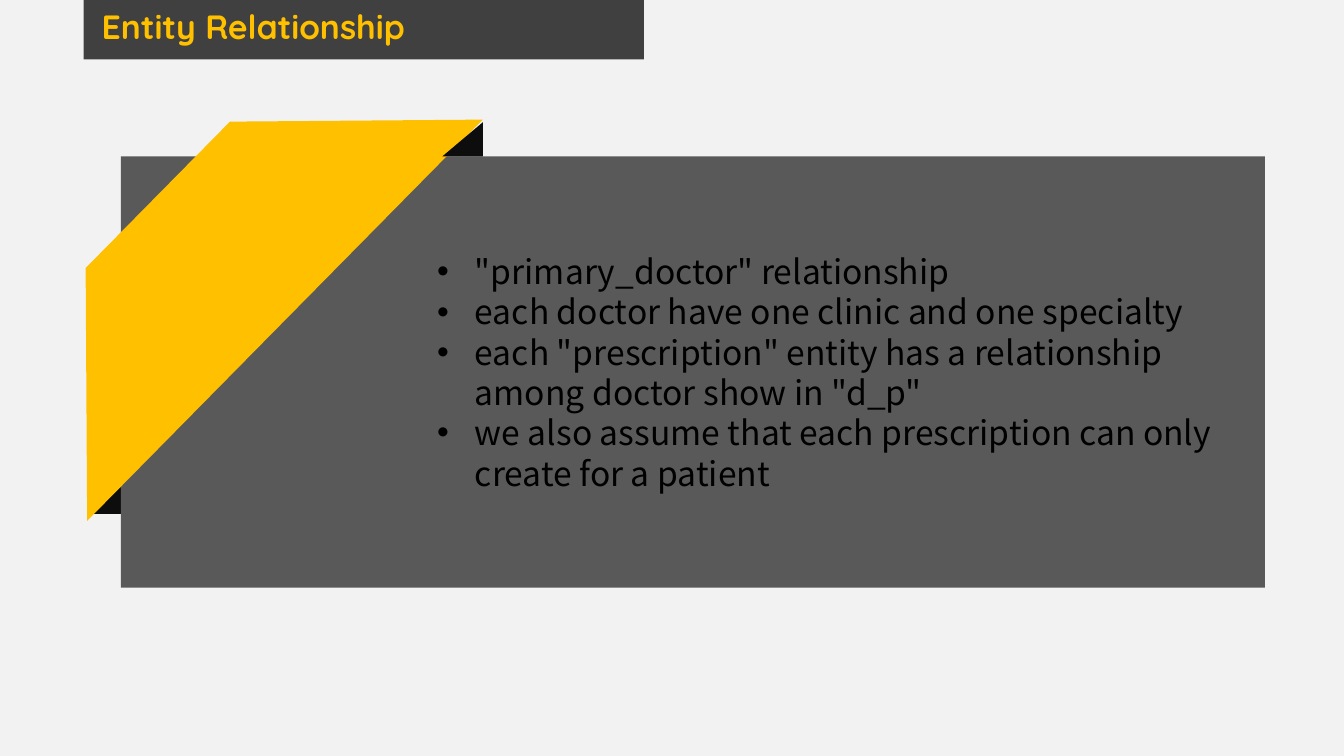
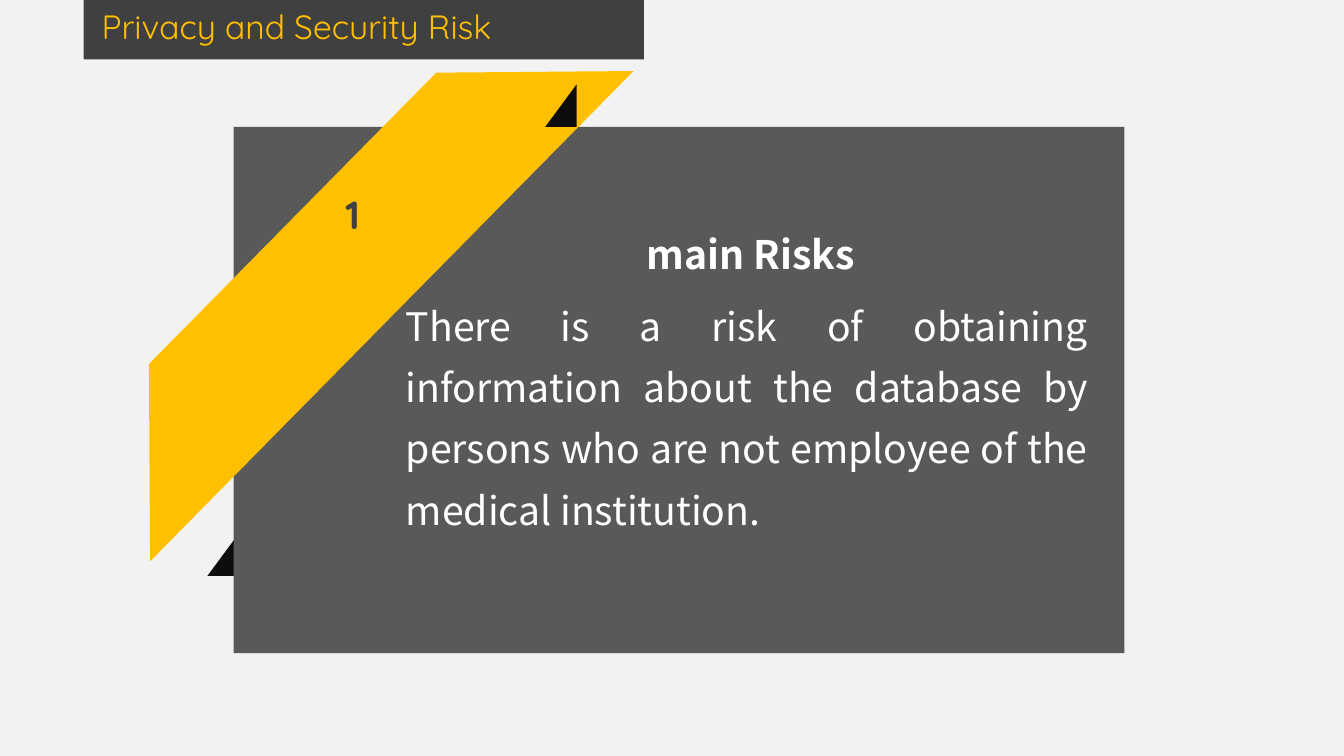
from dataclasses import dataclass

from lxml import etree
from pptx import Presentation
from pptx import util as u
from pptx.dml import color
from pptx.enum import shapes, text
from pptx.oxml import ns


@dataclass(frozen=True)
class Theme:
    backdrop: str = "F2F2F2"
    band: str = "404040"
    panel: str = "595959"
    accent: str = "FFC000"
    fold: str = "0D0D0D"
    dark: str = "000000"
    light: str = "FFFFFF"
    display: str = "Quicksand"
    body: str = "Noto Sans CJK SC"
    small: int = 24
    large: int = 28


THEME = Theme()
RIBBON_ANGLE = 314.6
BULLET_INDENT = u.Cm(0.95)


def rgb(code):
    return color.RGBColor.from_string(code)


def box(values):
    return [u.Cm(value) for value in values]


def add_block(slide, preset, area, fill):
    block = slide.shapes.add_shape(preset, *box(area))
    block.shadow.inherit = False
    block.fill.solid()
    block.fill.fore_color.rgb = rgb(fill)
    block.line.fill.background()
    return block


def add_text(slide, area, lines, size, font, ink, bold=False, align=None,
             spacing=None, wrap=True):
    frame = slide.shapes.add_textbox(*box(area)).text_frame
    frame.word_wrap = wrap
    frame.text = "\n".join(lines)
    for paragraph in frame.paragraphs:
        paragraph.font.size = u.Pt(size)
        paragraph.font.name = font
        paragraph.font.bold = bold
        paragraph.font.color.rgb = rgb(ink)
        paragraph.alignment = align
        paragraph.line_spacing = spacing
    return frame


def add_bullets(frame):
    for paragraph in frame.paragraphs:
        properties = paragraph._p.get_or_add_pPr()
        properties.set("marL", str(BULLET_INDENT))
        properties.set("indent", str(-BULLET_INDENT))
        etree.SubElement(properties, ns.qn("a:buFont")).set("typeface", "Arial")
        etree.SubElement(properties, ns.qn("a:buChar")).set("char", "•")


def add_fold(slide, left, top, size):
    fold = add_block(slide, shapes.MSO_SHAPE.ISOSCELES_TRIANGLE,
                     (left, top, *size), THEME.fold)
    fold.adjustments[0] = 1


def add_ribbon_panel(slide, panel, ribbon, tail, head_left, fold_size):
    add_fold(slide, *tail, fold_size)
    add_block(slide, shapes.MSO_SHAPE.RECTANGLE, panel, THEME.panel)
    sash = add_block(slide, shapes.MSO_SHAPE.TRAPEZOID, ribbon, THEME.accent)
    sash.adjustments[0] = 1.002
    sash.rotation = RIBBON_ANGLE
    add_fold(slide, head_left, panel[1] - fold_size[1], fold_size)


def add_titled_slide(deck, title, bold=False):
    slide = deck.slides.add_slide(deck.slide_layouts[6])
    slide.background.fill.solid()
    slide.background.fill.fore_color.rgb = rgb(THEME.backdrop)
    add_block(slide, shapes.MSO_SHAPE.RECTANGLE, (2.11, 0, 14.12, 1.5), THEME.band)
    add_text(slide, (2.31, 0.15, 13.67, 1.27), [title], THEME.small,
             THEME.display, THEME.accent, bold=bold, spacing=0.9)
    return slide


def build_relationships(deck):
    slide = add_titled_slide(deck, "Entity Relationship", bold=True)
    add_ribbon_panel(slide, panel=(3.05, 3.94, 28.83, 10.87),
                     ribbon=(-1.52, 4.24, 14.2, 4.5), tail=(2.24, 12.09),
                     head_left=11.15, fold_size=(1.02, 0.86))
    rules = [
        '"primary_doctor" relationship',
        "each doctor have one clinic and one specialty",
        'each "prescription" entity has a relationship among doctor show in "d_p"',
        "we also assume that each prescription can only create for a patient",
    ]
    add_bullets(add_text(slide, (10.77, 6.2, 20.57, 6.4), rules, THEME.small,
                         THEME.body, THEME.dark))


def build_risks(deck):
    slide = add_titled_slide(deck, "Privacy and Security Risk")
    add_ribbon_panel(slide, panel=(5.89, 3.2, 22.45, 13.26),
                     ribbon=(-0.05, 4.98, 17.35, 3.51), tail=(5.23, 13.44),
                     head_left=13.74, fold_size=(0.79, 1.07))
    add_text(slide, (8.46, 4.67, 1.68, 3.05), ["1"], THEME.large,
             THEME.display, THEME.band, bold=True)
    add_text(slide, (15.98, 5.69, 5.87, 1.45), ["main Risks"], THEME.large,
             THEME.body, THEME.light, bold=True,
             align=text.PP_ALIGN.CENTER, wrap=False)
    risk = ("There is a risk of obtaining information about the database by "
            "persons who are not employee of the medical institution.")
    add_text(slide, (9.98, 7.14, 17.68, 6.48), [risk], THEME.large, THEME.body,
             THEME.light, align=text.PP_ALIGN.JUSTIFY, spacing=1.3)


def main():
    deck = Presentation()
    deck.slide_width, deck.slide_height = box((33.87, 19.05))
    build_relationships(deck)
    build_risks(deck)
    deck.save("out.pptx")


if __name__ == "__main__":
    main()
